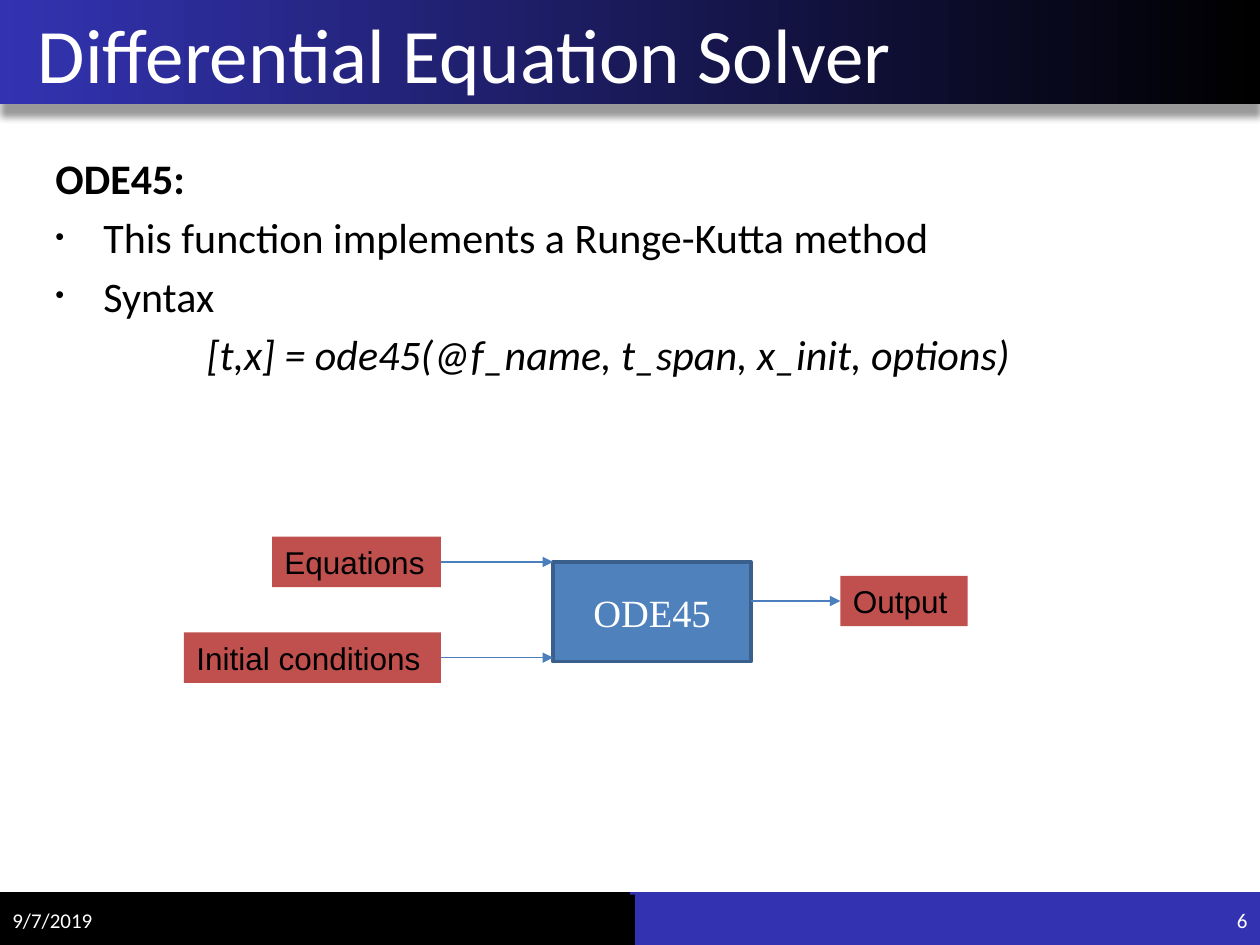
"""Build the slide on the ODE45 differential equation solver."""
import dataclasses
import typing

import lxml.etree
import pptx
import pptx.dml.color
import pptx.enum.shapes
import pptx.enum.text
import pptx.oxml.ns
import pptx.util

Inches = pptx.util.Inches
Pt = pptx.util.Pt
RGBColor = pptx.dml.color.RGBColor
Align = pptx.enum.text.PP_ALIGN
Anchor = pptx.enum.text.MSO_ANCHOR
Fit = pptx.enum.text.MSO_AUTO_SIZE

BLACK = RGBColor(0x00, 0x00, 0x00)
WHITE = RGBColor(0xFF, 0xFF, 0xFF)
INDIGO = RGBColor(0x33, 0x33, 0xB2)
BLUE = RGBColor(0x4F, 0x81, 0xBD)
EDGE = RGBColor(0x3A, 0x5F, 0x8C)
ARROW = RGBColor(0x4B, 0x7E, 0xBC)
RED = RGBColor(0xC0, 0x50, 0x4D)


@dataclasses.dataclass
class Box:
    left: float
    top: float
    width: float
    height: float
    fill: RGBColor


@dataclasses.dataclass
class Line:
    text: str
    bullet: bool = False
    margin: float = 0
    bold: bool = False
    italic: bool = False


BANDS = [
    Box(5, 7.08, 5, 0.42, INDIGO),
    Box(0, 7.08, 5, 0.42, BLACK),
    Box(2.4, 7.1, 2.64, 0.4, BLACK),
]
LINES = [
    Line("ODE45:", bold=True),
    Line("This function implements a Runge-Kutta method", True, 0.38),
    Line("Syntax", True, 0.38),
    Line("[t,x] = ode45(@f_name, t_span, x_init, options)",
         margin=1.2, italic=True),
]


def add_node(parent: typing.Any, tag: str, **attrs: str) -> typing.Any:
    """Append a DrawingML element to its parent."""
    return lxml.etree.SubElement(parent, pptx.oxml.ns.qn(tag), attrs)


def place(shape: typing.Any, left: float, top: float,
          width: float, height: float) -> None:
    """Move and size a shape."""
    shape.left, shape.top = Inches(left), Inches(top)
    shape.width, shape.height = Inches(width), Inches(height)


def style(para: typing.Any, name: str, size: float, color: RGBColor,
          align: Align = Align.LEFT) -> None:
    """Set the font and alignment of a paragraph."""
    para.alignment = align
    para.font.name = name
    para.font.size = Pt(size)
    para.font.color.rgb = color


def draw_box(slide: typing.Any, box: Box) -> typing.Any:
    """Draw a flat rectangle."""
    shape = slide.shapes.add_shape(
        pptx.enum.shapes.MSO_SHAPE.RECTANGLE, Inches(box.left),
        Inches(box.top), Inches(box.width), Inches(box.height))
    shape.shadow.inherit = False
    shape.fill.solid()
    shape.fill.fore_color.rgb = box.fill
    shape.line.fill.background()
    return shape


def draw_head(slide: typing.Any) -> None:
    """Draw the shaded title band with its shadow."""
    band = draw_box(slide, Box(0, 0, 10, 0.83, BLACK))
    band.fill.gradient()
    band.fill.gradient_angle = 180
    for stop, color, spot in zip(
            band.fill.gradient_stops, (BLACK, INDIGO), (0, 1)):
        stop.color.rgb = color
        stop.position = spot
    effects = band.element.spPr.find(pptx.oxml.ns.qn("a:effectLst"))
    shade = add_node(effects, "a:outerShdw", blurRad=str(Pt(4)),
                     dist=str(Pt(7)), dir="5400000", rotWithShape="0")
    tint = add_node(shade, "a:srgbClr", val=str(BLACK))
    add_node(tint, "a:alpha", val="40000")


def fill_title(title: typing.Any) -> None:
    """Set the title text."""
    place(title, 0, 0, 9.75, 0.83)
    frame = title.text_frame
    frame.text = "Differential Equation Solver"
    frame.vertical_anchor = Anchor.MIDDLE
    frame.auto_size = Fit.NONE
    frame.margin_left = Inches(0.3)
    style(frame.paragraphs[0], "Calibri", 44, WHITE)


def fill_body(body: typing.Any) -> None:
    """Set the list text."""
    place(body, 0.34, 1.16, 9.17, 5.53)
    frame = body.text_frame
    frame.text = "\n".join(line.text for line in LINES)
    frame.auto_size = Fit.NONE
    for para, line in zip(frame.paragraphs, LINES):
        props = para._p.get_or_add_pPr()
        props.set("marL", str(Inches(line.margin)))
        props.set("indent", str(Inches(-line.margin if line.bullet else 0)))
        if line.bullet:
            add_node(props, "a:buSzPct", val="60000")
            add_node(props, "a:buFont", typeface="Arial")
            add_node(props, "a:buChar", char="•")
        else:
            add_node(props, "a:buNone")
        style(para, "Calibri", 24, BLACK)
        para.font.bold = line.bold
        para.font.italic = line.italic
        para.space_before = Pt(4.8)


def draw_note(slide: typing.Any, left: float, text: str,
              align: Align) -> None:
    """Draw a text in the bottom band."""
    note = slide.shapes.add_textbox(
        Inches(left), Inches(7.1), Inches(1.17), Inches(0.4))
    frame = note.text_frame
    frame.word_wrap = True
    frame.vertical_anchor = Anchor.MIDDLE
    frame.text = text
    style(frame.paragraphs[0], "Calibri", 12, WHITE, align)


def draw_label(slide: typing.Any, left: float, top: float,
               width: float, text: str) -> typing.Any:
    """Draw a red box that names an input or output."""
    label = draw_box(slide, Box(left, top, width, 0.4, RED))
    frame = label.text_frame
    frame.text = text
    frame.vertical_anchor = Anchor.TOP
    frame.auto_size = Fit.SHAPE_TO_FIT_TEXT
    style(frame.paragraphs[0], "Arial", 18, BLACK)
    return label


def draw_arrow(slide: typing.Any, start: float, end: float,
               level: float) -> typing.Any:
    """Draw a level arrow to the right."""
    arrow = slide.shapes.add_connector(
        pptx.enum.shapes.MSO_CONNECTOR.STRAIGHT, Inches(start),
        Inches(level), Inches(end), Inches(level))
    arrow.line.color.rgb = ARROW
    arrow.line.width = Pt(0.75)
    add_node(arrow.line._get_or_add_ln(), "a:tailEnd", type="triangle")
    add_node(arrow.element.spPr, "a:effectLst")
    return arrow


def main() -> None:
    """Build and save the slide."""
    deck = pptx.Presentation()
    deck.slide_width, deck.slide_height = Inches(10), Inches(7.5)
    slide = deck.slides.add_slide(deck.slide_layouts[1])
    title, body = slide.placeholders
    for band in BANDS:
        draw_box(slide, band)
    draw_head(slide)
    for holder in (body, title):
        holder.element.getparent().append(holder.element)
    fill_body(body)
    fill_title(title)
    draw_note(slide, 0, "9/7/2019", Align.LEFT)
    draw_note(slide, 8.83, "6", Align.RIGHT)

    solver = draw_box(slide, Box(4.39, 4.46, 1.57, 0.79, BLUE))
    solver.line.color.rgb = EDGE
    solver.line.width = Pt(2)
    solver.text_frame.text = "ODE45"
    style(solver.text_frame.paragraphs[0], "Times New Roman", 22, WHITE,
          Align.CENTER)
    for left, top, text in ((2.16, 4.26, "Equations"),
                            (1.46, 5.02, "Initial conditions")):
        label = draw_label(slide, left, top, 3.5 - left, text)
        draw_arrow(slide, 3.5, 4.39, top + 0.2).begin_connect(label, 3)
    output = draw_label(slide, 6.67, 4.57, 1.01, "Output")
    draw_arrow(slide, 5.96, 6.67, 4.77).end_connect(output, 1)
    deck.save("out.pptx")


if __name__ == "__main__":
    main()
